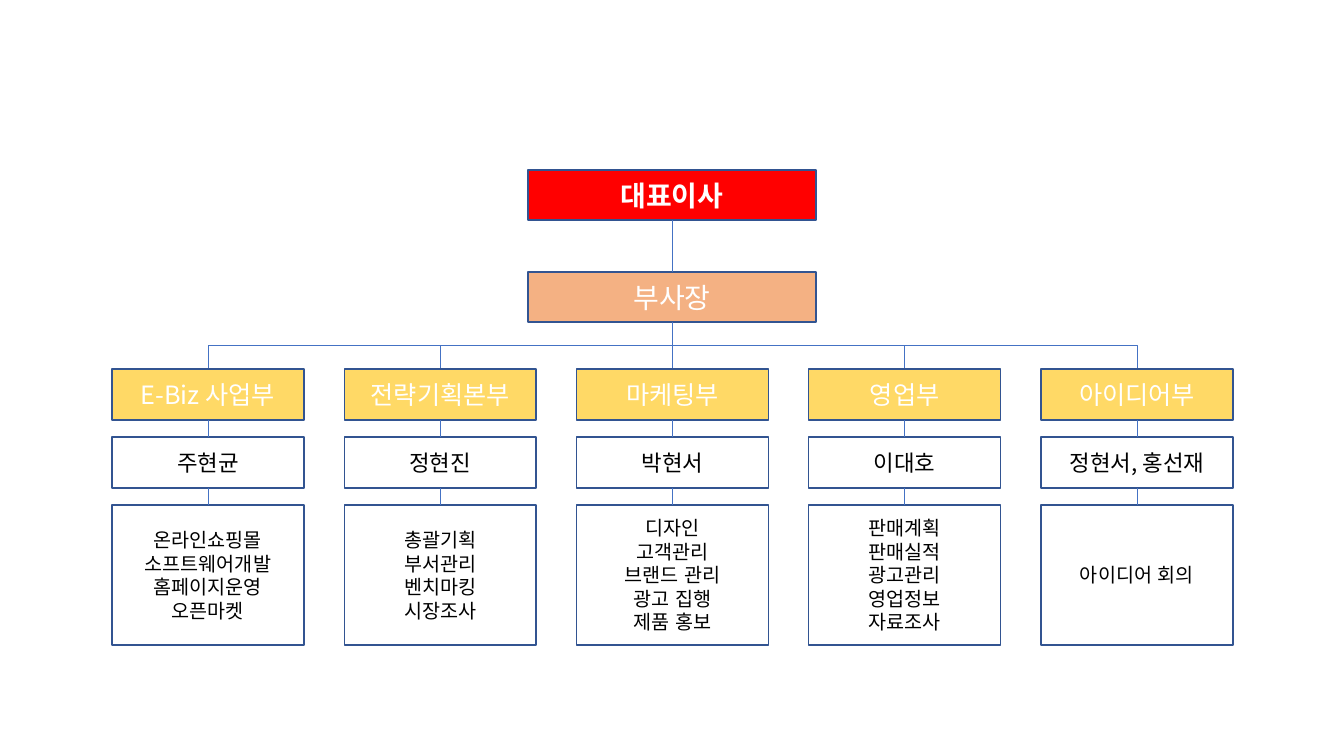
import pptx
import pptx.util
import pptx.dml.color
import pptx.enum.dml
import pptx.enum.lang
import pptx.enum.shapes
import pptx.enum.text
import pptx.oxml.ns
import lxml.etree

FONT = "Noto Sans CJK KR"
EXECUTIVES = [
    ("대표이사", 170, "FF0000", True),
    ("부사장", 272, "F4B183", False),
]
DEPARTMENTS = [
    ("E-Biz 사업부", "주현균", ["온라인쇼핑몰", "소프트웨어개발", "홈페이지운영", "오픈마켓"]),
    ("전략기획본부", "정현진", ["총괄기획", "부서관리", "벤치마킹", "시장조사"]),
    ("마케팅부", "박현서", ["디자인", "고객관리", "브랜드 관리", "광고 집행", "제품 홍보"]),
    ("영업부", "이대호", ["판매계획", "판매실적", "광고관리", "영업정보", "자료조사"]),
    ("아이디어부", "정현서, 홍선재", ["아이디어 회의"]),
]
LEVELS = [
    (369, 51, 18, "FFFFFF", "FFD966"),
    (437, 51, 16, "000000", None),
    (505, 140, 14, "000000", None),
]
CENTER, EXECUTIVE_WIDTH, EXECUTIVE_HEIGHT = 672, 288, 50
FIRST_LEFT, LAST_LEFT, DEPARTMENT_WIDTH = 112, 1041, 192
STRAIGHT = pptx.enum.shapes.MSO_CONNECTOR.STRAIGHT
ELBOW = pptx.enum.shapes.MSO_CONNECTOR.ELBOW


def px(pixels):
    return pptx.util.Emu(round(pixels * 914400 / 100.8))


def color(value):
    return pptx.dml.color.RGBColor.from_string(value)


def assign(target, values):
    for key, value in values.items():
        setattr(target, key, value)


def add_box(shapes, lines, left, top, width, height, size, ink, fill, bold=False):
    box = shapes.add_shape(pptx.enum.shapes.MSO_SHAPE.RECTANGLE,
                           px(left), px(top), px(width), px(height))
    box.shadow.inherit = False
    if fill:
        box.fill.solid()
        box.fill.fore_color.rgb = color(fill)
    else:
        box.fill.background()
    box.line.color.rgb = color("325491")
    box.line.width = pptx.util.Pt(1)
    assign(box.text_frame, {
        "word_wrap": True,
        "vertical_anchor": pptx.enum.text.MSO_ANCHOR.MIDDLE,
        "margin_left": px(18), "margin_right": px(18),
        "margin_top": px(9), "margin_bottom": px(9),
    })
    box.text_frame.text = "\n".join(lines)
    for paragraph in box.text_frame.paragraphs:
        paragraph.alignment = pptx.enum.text.PP_ALIGN.CENTER
        for run in paragraph.runs:
            assign(run.font, {"name": FONT, "size": pptx.util.Pt(size), "bold": bold,
                              "language_id": pptx.enum.lang.MSO_LANGUAGE_ID.KOREAN})
            run.font.color.rgb = color(ink)
            east_asian = lxml.etree.SubElement(run.font._element, pptx.oxml.ns.qn("a:ea"))
            east_asian.set("typeface", FONT)


def add_link(shapes, kind, x1, y1, x2, y2):
    link = shapes.add_connector(kind, px(x1), px(y1), px(x2), px(y2))
    link.line.color.rgb = color("4472C4")
    link.line.width = pptx.util.Pt(0.5)
    lxml.etree.SubElement(link._element.spPr, pptx.oxml.ns.qn("a:effectLst"))
    return link


def add_branch(shapes, x1, y1, x2, y2):
    middle_x, middle_y = (x1 + x2) / 2, (y1 + y2) / 2
    half_drop, half_run = (y2 - y1) / 2, abs(x2 - x1) / 2
    side = 1 if x2 < x1 else -1
    branch = add_link(shapes, ELBOW,
                      middle_x - side * half_drop, middle_y - half_run,
                      middle_x + side * half_drop, middle_y + half_run)
    branch._element.spPr.xfrm.set("rot", str((90 if side == 1 else 270) * 60000))


deck = pptx.Presentation()
assign(deck, {"slide_width": px(1344), "slide_height": px(756)})
chart = deck.slides.add_slide(deck.slide_layouts[6]).shapes

for position, top, fill, bold in EXECUTIVES:
    add_box(chart, [position], CENTER - EXECUTIVE_WIDTH / 2, top,
            EXECUTIVE_WIDTH, EXECUTIVE_HEIGHT, 20, "FFFFFF", fill, bold)
president_top, deputy_top = [executive[1] for executive in EXECUTIVES]
add_link(chart, STRAIGHT, CENTER, president_top + EXECUTIVE_HEIGHT, CENTER, deputy_top)

step = (LAST_LEFT - FIRST_LEFT) / (len(DEPARTMENTS) - 1)
deputy_bottom, department_top = deputy_top + EXECUTIVE_HEIGHT, LEVELS[0][0]
for index, (department, leader, duties) in enumerate(DEPARTMENTS):
    left = FIRST_LEFT + index * step
    middle = left + DEPARTMENT_WIDTH / 2
    if index == len(DEPARTMENTS) // 2:
        add_link(chart, STRAIGHT, CENTER, deputy_bottom, CENTER, department_top)
    else:
        add_branch(chart, CENTER, deputy_bottom, middle, department_top)
    column = chart.add_group_shape().shapes
    for lines, (top, height, size, ink, fill) in zip([[department], [leader], duties], LEVELS):
        add_box(column, lines, left, top, DEPARTMENT_WIDTH, height, size, ink, fill)
    for upper, lower in zip(LEVELS, LEVELS[1:]):
        add_link(column, STRAIGHT, middle, upper[0] + upper[1], middle, lower[0])

deck.save("out.pptx")
